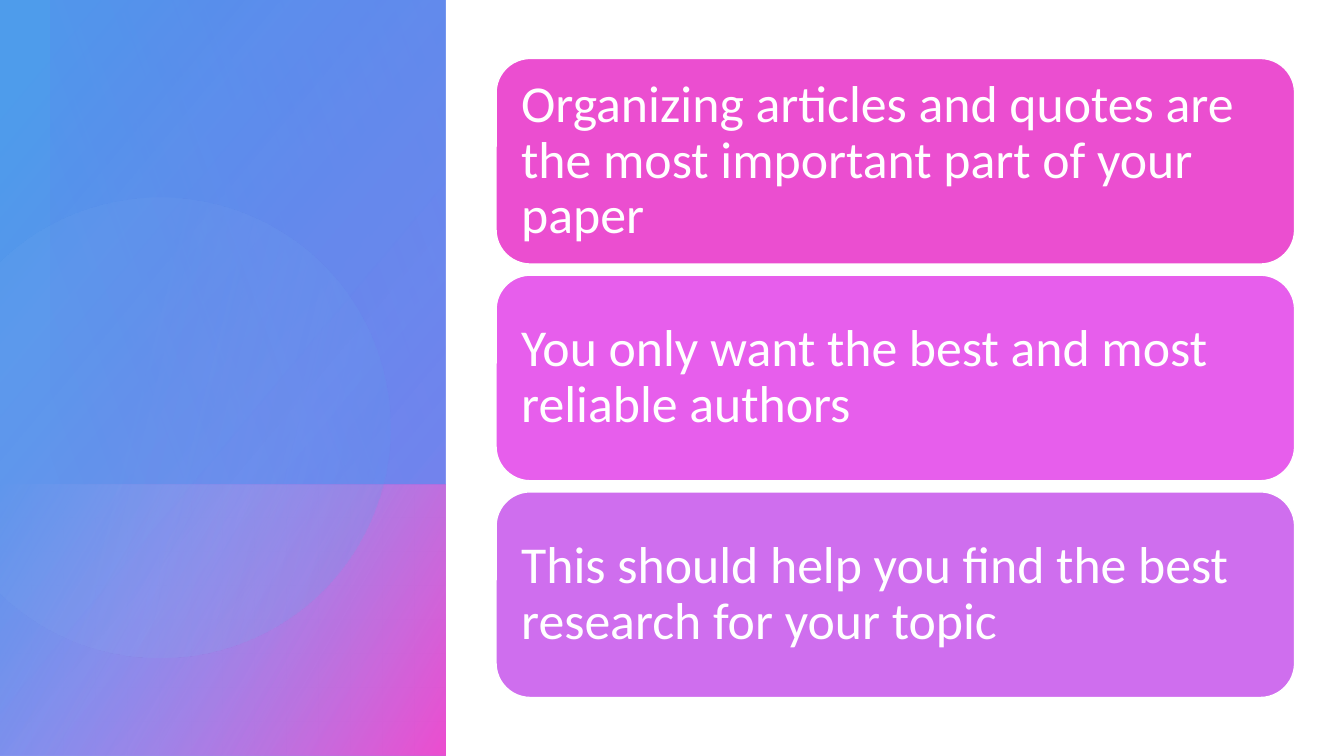
import math
from lxml import etree
from pptx import Presentation
from pptx.dml.color import RGBColor
from pptx.enum import shapes, text
from pptx.oxml import ns
from pptx.util import Inches, Pt


def rgb(code):
    return RGBColor.from_string(code)


def shade(shape, stops, angle):
    """Give a borderless shape a linear gradient of (position, colour, opacity)."""
    shape.shadow.inherit = False
    shape.line.fill.background()
    shape.fill.background()
    grad = etree.Element(ns.qn("a:gradFill"), rotWithShape="1")
    items = etree.SubElement(grad, ns.qn("a:gsLst"))
    for pos, code, alpha in stops:
        stop = etree.SubElement(items, ns.qn("a:gs"), pos=str(pos * 1000))
        tint = etree.SubElement(stop, ns.qn("a:srgbClr"), val=code)
        etree.SubElement(tint, ns.qn("a:alpha"), val=str(alpha * 1000))
    etree.SubElement(grad, ns.qn("a:lin"), ang=str(angle * 60000), scaled="0")
    props = shape.element.spPr
    props.replace(props.find(ns.qn("a:noFill")), grad)


deck = Presentation()
deck.slide_width, deck.slide_height = Inches(13.33), Inches(7.5)
slide = deck.slides.add_slide(deck.slide_layouts[6])
tree = slide.shapes
kind = shapes.MSO_SHAPE

# Side panel: blue base and pink foot
panels = [
    ((0, 0, 4.42, 7.5), [(8, "4E9CEB", 100), (100, "6E78EE", 89)], 40),
    ((0, 4.81, 4.42, 2.69), [(0, "A8AEF5", 0), (99, "EB4ED0", 100)], 30),
]
glow = ((0.5, 0, 3.92, 4.81), [(0, "6E78EE", 29), (100, "834EEB", 0)], 160)
for box, stops, angle in panels:
    panel = tree.add_shape(kind.RECTANGLE, *map(Inches, box))
    shade(panel, stops, angle)

# Disc cut off at the slide's left edge
mid_x, mid_y, radius = 1.59, 4.24, 2.28
limit = math.acos(-mid_x / radius)
steps = 90
points = []
for i in range(steps + 1):
    turn = limit * (2 * i / steps - 1)
    points.append((Inches(mid_x + radius * math.cos(turn)),
                   Inches(mid_y + radius * math.sin(turn))))
outline = tree.build_freeform(*points[0])
outline.add_line_segments(points[1:], close=True)
disc = outline.convert_to_shape()
shade(disc, [(36, "95C4F3", 6), (100, "4E9CEB", 26)], 14)

# Soft glow over the upper panel
box, stops, angle = glow
shade(tree.add_shape(kind.RECTANGLE, *map(Inches, box)), stops, angle)

# Message cards
cards = [
    ("EB4ED0", "Organizing articles and quotes are the most important part of your paper"),
    ("E75EEC", "You only want the best and most reliable authors"),
    ("CF6EEE", "This should help you find the best research for your topic"),
]
top, pitch = 0.58, 2.15
for i, (code, words) in enumerate(cards):
    card = tree.add_shape(kind.ROUNDED_RECTANGLE, Inches(4.92),
                          Inches(top + i * pitch), Inches(7.92), Inches(2.04))
    card.shadow.inherit = False
    card.fill.solid()
    card.fill.fore_color.rgb = rgb(code)
    card.line.color.rgb = rgb("FFFFFF")
    card.line.width = Pt(1)
    frame = card.text_frame
    frame.word_wrap = True
    frame.vertical_anchor = text.MSO_ANCHOR.MIDDLE
    frame.margin_left = frame.margin_right = Inches(0.15)
    frame.margin_top = frame.margin_bottom = Inches(0.15)
    para = frame.paragraphs[0]
    para.alignment = text.PP_ALIGN.LEFT
    para.line_spacing = 0.9
    run = para.add_run()
    run.text = words
    run.font.name = "Calibri"
    run.font.size = Pt(37)
    run.font.color.rgb = rgb("FFFFFF")

deck.save("out.pptx")
